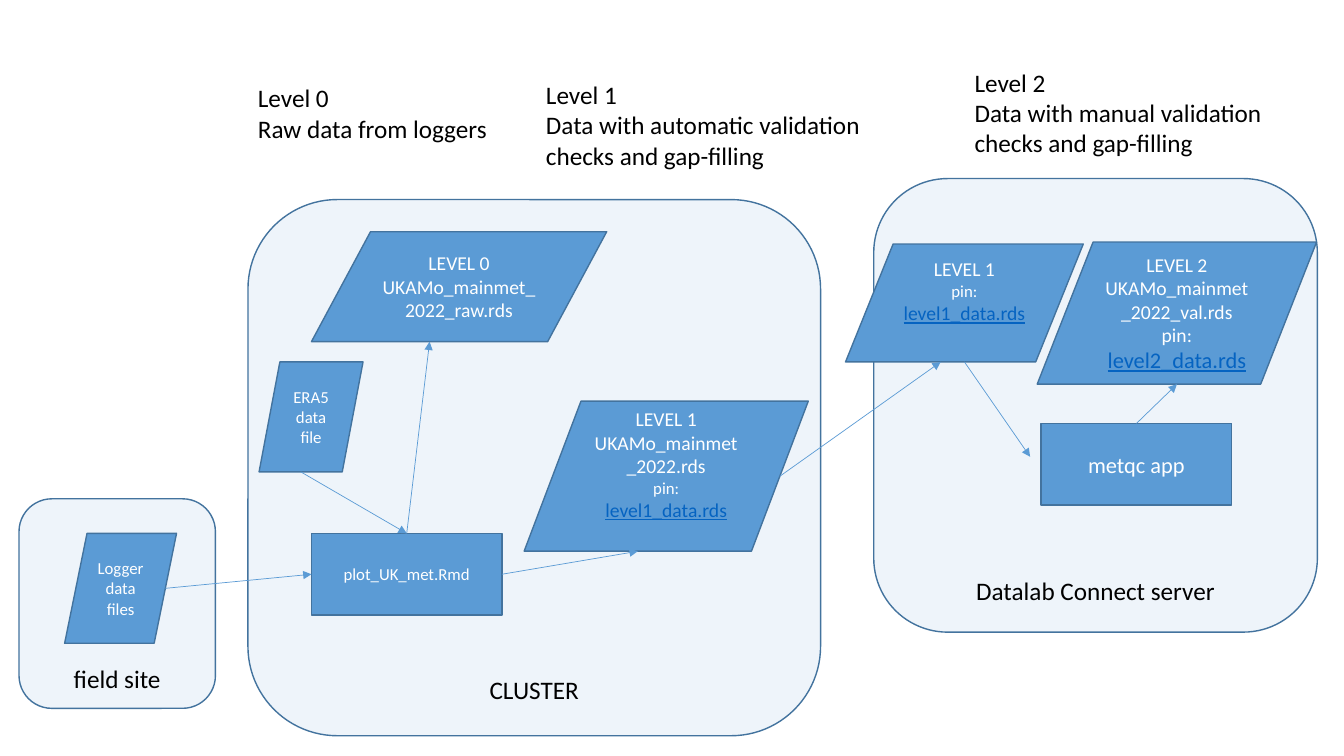
from lxml import etree
from pptx import Presentation
from pptx import util as u
from pptx.dml.color import RGBColor
from pptx.enum import shapes, text
from pptx.oxml.ns import qn

BLUE = RGBColor(0x5B, 0x9B, 0xD5)
EDGE = RGBColor(0x43, 0x73, 0x9E)
LINK = RGBColor(0x05, 0x63, 0xC1)
WHITE = RGBColor(0xFF, 0xFF, 0xFF)
BLACK = RGBColor(0x00, 0x00, 0x00)
FONT = "Calibri"


class Diagram:
    """Holds the slide and draws its elements; lengths are in cm."""

    def __init__(self, s):
        self.s = s

    def set_lines(self, tf, lines, size, color, align):
        """Fill a text frame; a line is a string or (string, size[, is_link])."""
        for i, line in enumerate(lines):
            words, pt, *link = line if isinstance(line, tuple) else (line, size)
            p = tf.paragraphs[0] if i == 0 else tf.add_paragraph()
            p.alignment = align
            p.font.name, p.font.size = FONT, u.Pt(pt)
            p.font.color.rgb = LINK if link else color
            p.font.underline = True if link else None
            r = p.add_run()
            r.text = words

    def box(self, kind, at, lines, size, color=WHITE, anchor=text.MSO_ANCHOR.MIDDLE):
        sp = self.s.shapes.add_shape(kind, *map(u.Cm, at))
        sp.shadow.inherit = False
        sp.fill.solid()
        sp.fill.fore_color.rgb = BLUE
        sp.line.color.rgb = EDGE
        sp.line.width = u.Pt(1)
        sp.text_frame.word_wrap = True
        sp.text_frame.vertical_anchor = anchor
        self.set_lines(sp.text_frame, lines, size, color, text.PP_ALIGN.CENTER)
        return sp

    def panel(self, at, name):
        """A faint rounded area with its name at the bottom."""
        sp = self.box(shapes.MSO_SHAPE.ROUNDED_RECTANGLE, at, [name], 18, BLACK,
                      text.MSO_ANCHOR.BOTTOM)
        rgb = sp._element.spPr.find(qn("a:solidFill")).find(qn("a:srgbClr"))
        etree.SubElement(rgb, qn("a:alpha")).set("val", "10000")

    def data(self, at, lines, size=14, bottom=0.13):
        sp = self.box(shapes.MSO_SHAPE.FLOWCHART_DATA, at, lines, size)
        sp.text_frame.margin_bottom = u.Cm(bottom)
        return sp

    def process(self, at, name, size):
        return self.box(shapes.MSO_SHAPE.FLOWCHART_PROCESS, at, [name], size)

    def heading(self, at, lines):
        tf = self.s.shapes.add_textbox(*map(u.Cm, at)).text_frame
        tf.word_wrap = False
        tf.auto_size = text.MSO_AUTO_SIZE.SHAPE_TO_FIT_TEXT
        self.set_lines(tf, lines, 18, BLACK, text.PP_ALIGN.LEFT)

    def arrow(self, start, end, start_join=None, end_join=None):
        """Arrow between two points; a join is (shape, side)."""
        c = self.s.shapes.add_connector(shapes.MSO_CONNECTOR.STRAIGHT, *start, *end)
        if start_join:
            c.begin_connect(*start_join)
        if end_join:
            c.end_connect(*end_join)
        c.line.color.rgb = BLUE
        c.line.width = u.Pt(0.5)
        ln = c._element.spPr.find(qn("a:ln"))
        etree.SubElement(ln, qn("a:tailEnd")).set("type", "triangle")
        etree.SubElement(c._element.spPr, qn("a:effectLst"))


def spot(sp, fx, fy):
    """Point at the given fractions of a shape's width and height."""
    return int(sp.left + fx * sp.width), int(sp.top + fy * sp.height)


BOTTOM, RIGHT = (0.4, 1), (0.9, 0.5)  # edge points of a slanted data shape


def main():
    prs = Presentation()
    prs.slide_width, prs.slide_height = u.Cm(33.87), u.Cm(19.05)
    d = Diagram(prs.slides.add_slide(prs.slide_layouts[6]))

    d.panel((6.25, 5.03, 14.43, 13.51), "CLUSTER")
    d.panel((22.02, 4.5, 11.18, 11.43), "Datalab Connect server")
    d.panel((0.48, 12.57, 4.95, 5.28), "field site")

    d.heading((6.25, 1.96, 6.35, 1.8), ["Level 0", "Raw data from loggers"])
    d.heading((13.51, 1.88, 8.66, 2.57),
              ["Level 1", "Data with automatic validation", "checks and gap-filling"])
    d.heading((24.31, 1.57, 7.98, 2.57),
              ["Level 2", "Data with manual validation", "checks and gap-filling"])

    era5 = d.data((6.53, 9.12, 2.62, 2.77), ["ERA5", "data", "file"], 12)
    logger = d.data((1.63, 13.44, 2.82, 2.77), ["Logger", "data", "files"], 12)
    level0 = d.data((7.85, 5.84, 7.44, 2.77), ["LEVEL 0", "UKAMo_mainmet_2022_raw.rds"])
    pin1 = [("pin:", 12), ("level1_data.rds", 14, True)]
    level1 = d.data((13.21, 10.11, 7.16, 3.78),
                    ["LEVEL 1", "UKAMo_mainmet_2022.rds", *pin1], bottom=0.73)
    level2 = d.data((26.14, 6.1, 7.04, 3.58),
                    ["LEVEL 2", "UKAMo_mainmet_2022_val.rds", "pin:",
                     ("level2_data.rds", 16, True)])
    pinned = d.data((21.31, 6.15, 5.99, 2.97), ["LEVEL 1", *pin1], bottom=0.73)
    plot = d.process((7.85, 13.44, 4.8, 2.06), "plot_UK_met.Rmd", 12)
    metqc = d.process((26.24, 10.67, 4.8, 2.06), "metqc app", 16)

    plot_top, plot_left, plot_right = spot(plot, 0.5, 0), spot(plot, 0, 0.5), spot(plot, 1, 0.5)
    d.arrow(spot(era5, *BOTTOM), plot_top, end_join=(plot, 0))
    d.arrow(spot(logger, *RIGHT), plot_left, end_join=(plot, 1))
    d.arrow(plot_top, spot(level0, 0.4, 1), start_join=(plot, 0))
    d.arrow(plot_right, spot(level1, *BOTTOM), start_join=(plot, 3))
    d.arrow(spot(level1, *RIGHT), spot(pinned, *BOTTOM))
    d.arrow(spot(pinned, 0.5, 1), (u.Cm(25.96), u.Cm(11.51)))
    d.arrow(spot(metqc, 0.5, 0), spot(level2, 0.5, 1), start_join=(metqc, 0))

    prs.save("out.pptx")


if __name__ == "__main__":
    main()
